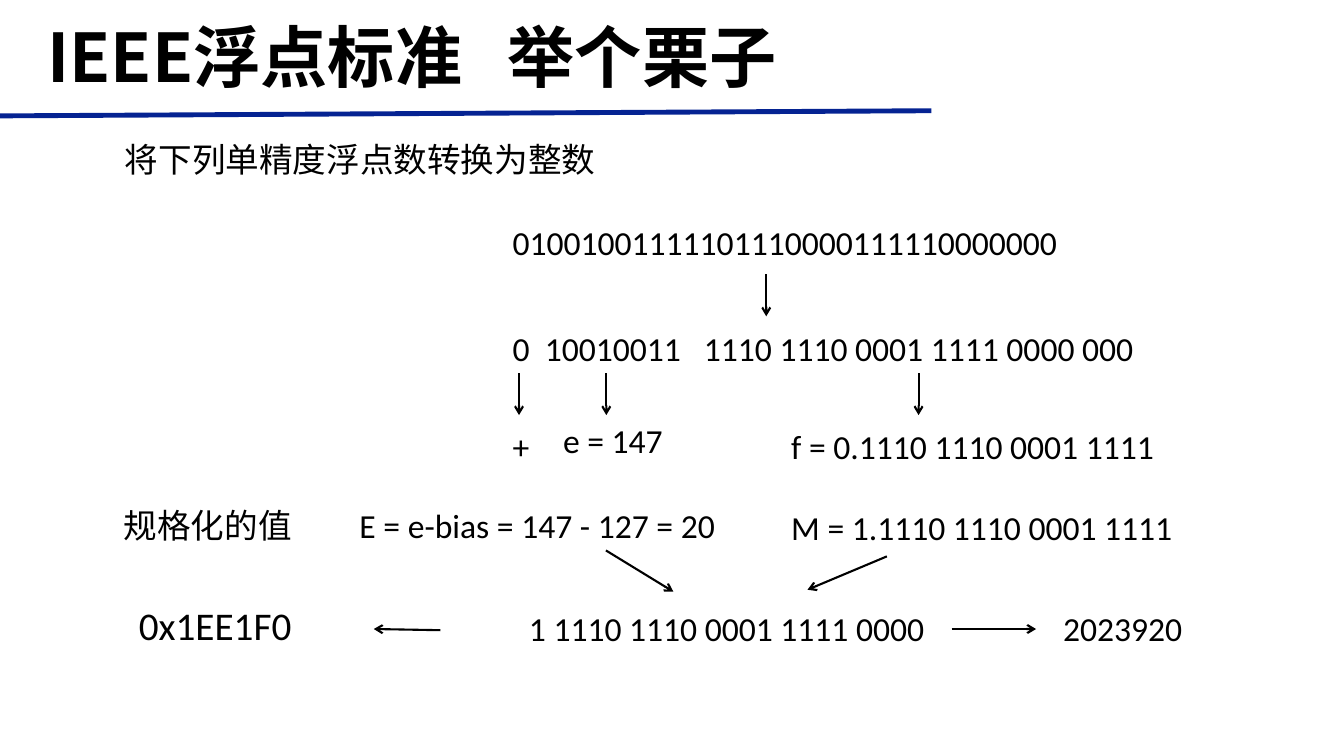
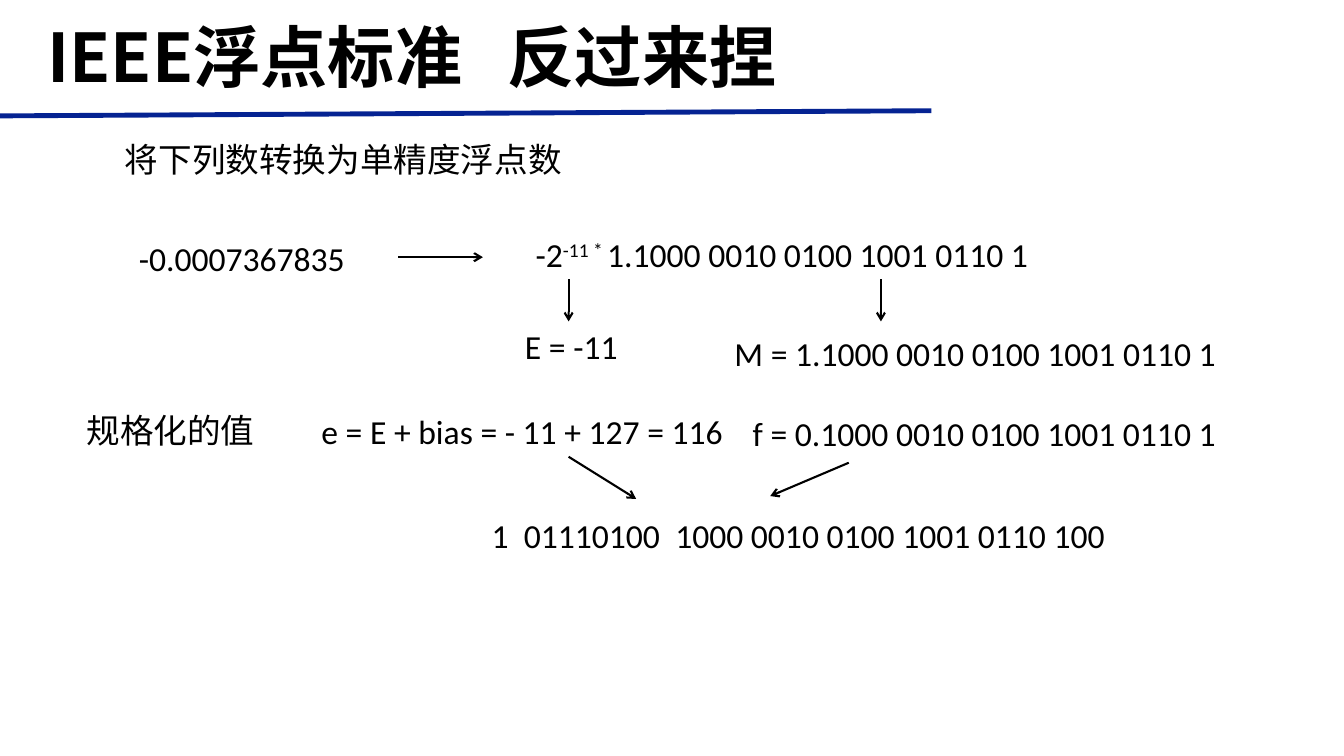
from dataclasses import dataclass

from lxml.etree import SubElement
from pptx import Presentation
from pptx.dml.color import RGBColor
from pptx.enum.shapes import MSO_CONNECTOR
from pptx.enum.text import MSO_ANCHOR, MSO_AUTO_SIZE, PP_ALIGN
from pptx.oxml.ns import qn
from pptx.util import Cm, Pt

BLACK = RGBColor(0x00, 0x00, 0x00)
RULE_BLUE = RGBColor(0x05, 0x23, 0x92)
LATIN = "Calibri"
CJK = "Noto Sans CJK SC"
BOX_H = 1.27
DROP = 1.06
TITLE_TAB = 11.6


@dataclass(frozen=True)
class Run:
    """A piece of text, raised or on the baseline."""
    text: str
    raised: bool = False


@dataclass(frozen=True)
class Label:
    """A text box placed in centimetres."""
    x: float
    y: float
    w: float
    runs: tuple[Run, ...]
    size: int = 24
    tabs: tuple[float, ...] = ()


@dataclass(frozen=True)
class Arrow:
    """An arrow from one point to another in centimetres."""
    x1: float
    y1: float
    x2: float
    y2: float


@dataclass(frozen=True)
class Page:
    """The contents of one slide."""
    title: str
    labels: tuple[Label, ...]
    arrows: tuple[Arrow, ...]


def label(x: float, y: float, w: float, text: str, size: int = 24,
          tabs: tuple[float, ...] = ()) -> Label:
    """Make a label with a single run."""
    return Label(x, y, w, (Run(text),), size, tabs)


def down(x: float, y: float) -> Arrow:
    """Make a short vertical arrow."""
    return Arrow(x, y, x, y + DROP)


def set_tabs(p, stops: tuple[float, ...]) -> None:
    """Put left tab stops on a paragraph."""
    if stops:
        tabs = SubElement(p._p.get_or_add_pPr(), qn("a:tabLst"))
        for stop in stops:
            SubElement(tabs, qn("a:tab"), pos=str(Cm(stop)), algn="l")


def add_run(p, run: Run, size: int, font: str = LATIN, bold: bool = False) -> None:
    """Add one formatted run with its East Asian font."""
    r = p.add_run()
    r.text = run.text
    r.font.size = Pt(size)
    r.font.name = font
    r.font.bold = bold
    r.font.color.rgb = BLACK
    rPr = r._r.get_or_add_rPr()
    SubElement(rPr, qn("a:ea"), typeface=CJK)
    if run.raised:
        rPr.set("baseline", "30000")


def add_line(s, line: Arrow, color: RGBColor, width: float, head: bool) -> None:
    """Draw a straight line, with an arrowhead if asked."""
    c = s.shapes.add_connector(MSO_CONNECTOR.STRAIGHT, Cm(line.x1), Cm(line.y1),
                               Cm(line.x2), Cm(line.y2))
    c.line.color.rgb = color
    c.line.width = Pt(width)
    if head:
        SubElement(c.line._get_or_add_ln(), qn("a:tailEnd"), type="arrow")
    SubElement(c._element.spPr, qn("a:effectLst"))


def add_label(s, item: Label) -> None:
    """Draw one text box."""
    sp = s.shapes.add_textbox(Cm(item.x), Cm(item.y), Cm(item.w), Cm(BOX_H))
    tf = sp.text_frame
    tf.word_wrap = True
    tf.auto_size = MSO_AUTO_SIZE.SHAPE_TO_FIT_TEXT
    p = tf.paragraphs[0]
    set_tabs(p, item.tabs)
    for run in item.runs:
        add_run(p, run, item.size)


def add_title(s, text: str) -> None:
    """Format the title placeholder and underline it."""
    add_line(s, Arrow(0, 2.92, 23.47, 2.79), RULE_BLUE, 3.5, False)
    sp = s.shapes.title
    sp.left, sp.top, sp.width, sp.height = Cm(0.94), Cm(-0.3), Cm(29.21), Cm(3.68)
    tf = sp.text_frame
    tf.word_wrap = True
    tf.auto_size = MSO_AUTO_SIZE.NONE
    tf.vertical_anchor = MSO_ANCHOR.MIDDLE
    p = tf.paragraphs[0]
    p.alignment = PP_ALIGN.LEFT
    p.line_spacing = 0.9
    set_tabs(p, (TITLE_TAB,))
    add_run(p, Run(text), 48, CJK, True)


def add_page(prs, page: Page) -> None:
    """Add one slide to the presentation."""
    s = prs.slides.add_slide(prs.slide_layouts[5])
    add_title(s, page.title)
    for item in page.labels:
        add_label(s, item)
    for arrow in page.arrows:
        add_line(s, arrow, BLACK, 1.5, True)


PAGES = (
    Page(
        "IEEE浮点标准\t举个栗子",
        (
            label(2.9, 3.38, 12.75, "将下列单精度浮点数转换为整数"),
            label(12.67, 5.46, 14.71, "01001001111101110000111110000000"),
            label(12.67, 8.13, 16.15, "0\t10010011\t1110 1110 0001 1111 0000 000",
                  tabs=(0.81, 4.82)),
            label(12.67, 10.62, 1.04, "+"),
            label(13.94, 10.46, 4.27, "e = 147"),
            label(19.69, 10.62, 11.13, "f = 0.1110 1110 0001 1111"),
            label(2.87, 12.6, 5.18, "规格化的值"),
            label(8.81, 12.6, 11.2, "E = e-bias = 147 - 127 = 20"),
            label(19.69, 12.65, 11.13, "M = 1.1110 1110 0001 1111"),
            label(3.25, 15.04, 4.55, "0x1EE1F0", 28),
            label(13.08, 15.19, 11.23, "1 1110 1110 0001 1111 0000"),
            label(26.54, 15.19, 4.7, "2023920"),
        ),
        (
            down(19.31, 6.91),
            *(down(x, 9.4) for x in (13.08, 15.28, 23.15)),
            Arrow(15.27, 13.87, 16.97, 14.91),
            Arrow(22.35, 14.02, 20.35, 14.86),
            Arrow(23.98, 15.85, 26.11, 15.85),
            Arrow(11.1, 15.88, 9.42, 15.85),
        ),
    ),
    Page(
        "IEEE浮点标准\t反过来捏",
        (
            label(2.9, 3.38, 12.75, "将下列数转换为单精度浮点数"),
            label(3.25, 5.87, 6.48, "-0.0007367835"),
            Label(13.25, 5.77, 13.69, (Run("-2"), Run("-11 * ", True),
                                       Run("1.1000 0010 0100 1001 0110 1"))),
            label(12.98, 8.1, 4.27, "E = -11"),
            label(18.26, 8.26, 13.08, "M = 1.1000 0010 0100 1001 0110 1"),
            label(1.93, 10.21, 5.33, "规格化的值"),
            label(7.85, 10.24, 11.2, "e = E + bias = - 11 + 127 = 116"),
            label(18.72, 10.29, 12.52, "f = 0.1000 0010 0100 1001 0110 1"),
            label(12.14, 12.85, 16.2, "1\t01110100\t1000 0010 0100 1001 0110 100",
                  tabs=(0.81, 4.63)),
        ),
        (
            Arrow(10.03, 6.48, 12.17, 6.48),
            *(down(x, 7.04) for x in (14.33, 22.2)),
            Arrow(14.33, 11.51, 16.03, 12.57),
            Arrow(21.39, 11.66, 19.41, 12.5),
        ),
    ),
)


def main() -> None:
    """Build and save the slides."""
    prs = Presentation()
    prs.slide_width, prs.slide_height = Cm(33.87), Cm(19.05)
    for page in PAGES:
        add_page(prs, page)
    prs.save("out.pptx")


if __name__ == "__main__":
    main()
